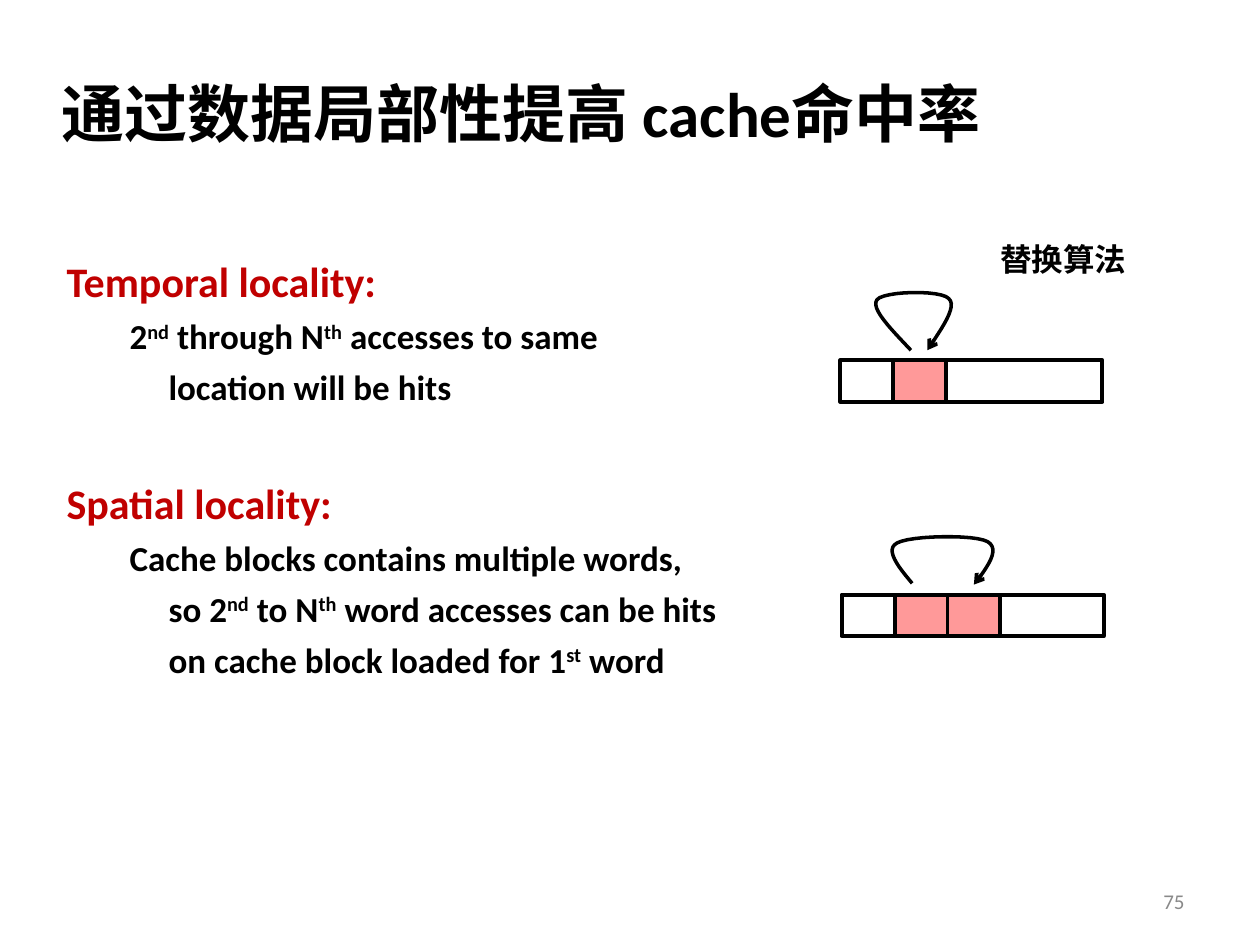
from lxml.etree import SubElement
from pptx import Presentation
from pptx.dml.color import RGBColor
from pptx.enum.shapes import MSO_SHAPE as Shape
from pptx.enum.text import MSO_ANCHOR as Anchor, PP_ALIGN as Align
from pptx.oxml.ns import qn
from pptx.util import Inches, Pt

BLACK, WHITE, RED, PINK, GREY = "000000", "FFFFFF", "C00000", "FF9999", "898989"
CELL, HIGH, WIDE = 0.42, 0.33, 2.08
STEPS = 12

# Body lines: text, level, whether it continues the line above; ^ marks superscript
BODY = [
    ("Temporal locality:", 0, False),
    ("2^nd^ through N^th^ accesses to same", 1, False),
    ("location will be hits", 1, True),
    ("Spatial locality:", 0, False),
    ("Cache blocks contains multiple words,", 1, False),
    ("so 2^nd^ to N^th^ word accesses can be hits", 1, True),
    ("on cache block loaded for 1^st^ word", 1, True),
]

# Bezier loops, relative to the top left of their memory bar
SAME = [(0.56, -0.08), (0.4, -0.25), (0.24, -0.41), (0.29, -0.48),
        (0.34, -0.55), (0.8, -0.56), (0.86, -0.49),
        (0.93, -0.43), (0.81, -0.26), (0.69, -0.08)]
NEXT = [(0.56, -0.09), (0.45, -0.22), (0.34, -0.36), (0.44, -0.41),
        (0.54, -0.47), (1.06, -0.48), (1.16, -0.42),
        (1.26, -0.36), (1.16, -0.22), (1.05, -0.08)]


def color(code):
    return RGBColor.from_string(code)


def write(para, text, size=18, font="Calibri", ink=BLACK, bold=True,
          align=Align.LEFT, before=0, left=0, first=0):
    """Fill a paragraph; parts between ^ marks are superscript."""
    para.alignment = align
    para.space_before = Pt(before)
    props = para._p.get_or_add_pPr()
    props.set("marL", str(Inches(left)))
    props.set("indent", str(Inches(first)))
    for i, part in enumerate(text.split("^")):
        if not part:
            continue
        run = para.add_run()
        run.text = part
        run.font.name, run.font.size, run.font.bold = font, Pt(size), bold
        run.font.color.rgb = color(ink)
        if i % 2:
            run._r.get_or_add_rPr().set("baseline", "30000")


def frame(slide, box, anchor=Anchor.TOP):
    text = slide.shapes.add_textbox(*map(Inches, box)).text_frame
    text.word_wrap = True
    text.vertical_anchor = anchor
    return text


def label(slide, box, text, anchor=Anchor.TOP, **style):
    write(frame(slide, box, anchor).paragraphs[0], text, **style)


def body(slide, box):
    area = frame(slide, box)
    for i, (text, level, more) in enumerate(BODY):
        para = area.paragraphs[0] if i == 0 else area.add_paragraph()
        para.level = level
        if level:
            write(para, text, size=20, before=5, left=0.81,
                  first=0 if more else -0.31)
        else:
            write(para, text, size=24, ink=RED, before=40 if i else 0,
                  left=0.38, first=-0.38)


def block(slide, box, fill):
    shape = slide.shapes.add_shape(Shape.RECTANGLE, *map(Inches, box))
    shape.shadow.inherit = False
    shape.fill.solid()
    shape.fill.fore_color.rgb = color(fill)
    shape.line.color.rgb = color(BLACK)
    shape.line.width = Pt(2.25)


def curve(nodes):
    """Yield points along a chain of cubic Bezier segments."""
    yield nodes[0]
    for k in range(0, len(nodes) - 1, 3):
        a, b, c, d = nodes[k:k + 4]
        for n in range(1, STEPS + 1):
            t = n / STEPS
            u = 1 - t
            yield tuple(u**3 * p + 3 * u * u * t * q + 3 * u * t * t * r + t**3 * s
                        for p, q, r, s in zip(a, b, c, d))


def loop(slide, left, top, nodes):
    dots = [(Inches(left + x), Inches(top + y)) for x, y in curve(nodes)]
    path = slide.shapes.build_freeform(*dots[0])
    path.add_line_segments(dots[1:], close=False)
    shape = path.convert_to_shape()
    shape.shadow.inherit = False
    shape.fill.background()
    shape.line.color.rgb = color(BLACK)
    shape.line.width = Pt(2)
    SubElement(shape.line._get_or_add_ln(), qn("a:tailEnd"), type="arrow")


def memory(slide, left, top, count, nodes):
    """Draw a memory bar with count accessed words and the access loop."""
    block(slide, (left, top, WIDE, HIGH), WHITE)
    for i in range(1, count + 1):
        block(slide, (left + i * CELL, top, CELL, HIGH), PINK)
    loop(slide, left, top, nodes)


def main():
    deck = Presentation()
    deck.slide_width, deck.slide_height = Inches(10), Inches(7.5)
    slide = deck.slides.add_slide(deck.slide_layouts[6])

    # Title and text
    label(slide, (0.39, 0.48, 8.94, 0.83), "通过数据局部性提高 cache命中率",
          Anchor.MIDDLE, size=36)
    body(slide, (0.43, 1.98, 6.2, 4.95))

    # Access diagrams
    memory(slide, 6.67, 2.86, 1, SAME)
    memory(slide, 6.68, 4.72, 2, NEXT)
    label(slide, (7.84, 1.86, 1.34, 0.4), "替换算法", font="Arial")

    # Page number
    label(slide, (7.17, 6.95, 2.33, 0.4), "75", Anchor.MIDDLE, size=12,
          ink=GREY, bold=False, align=Align.RIGHT)
    deck.save("out.pptx")


if __name__ == "__main__":
    main()
